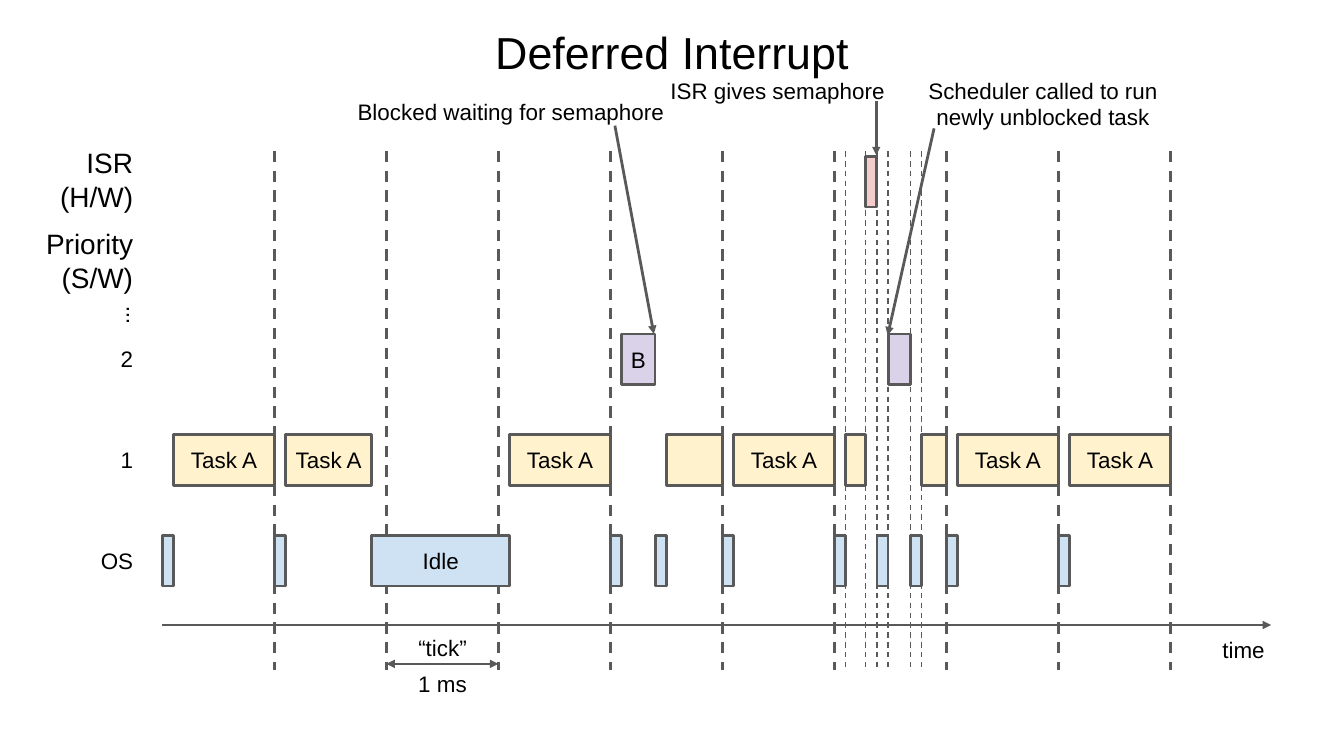
import dataclasses
import pptx
import pptx.dml.color
import pptx.enum.dml
import pptx.enum.shapes
import pptx.enum.text
import pptx.oxml.ns
import pptx.util
from lxml import etree

ALIGN = pptx.enum.text.PP_ALIGN
GREY, BLACK = "595959", "000000"
YELLOW, BLUE, PURPLE, PINK = "FFF2CC", "CFE2F3", "D9D2E9", "F4CCCC"

# Lengths are percentages of the slide's width and height
WIDTH, HEIGHT = pptx.util.Inches(20), pptx.util.Inches(11.25)
LEFT, TICK = 12.08, 100 / 12          # time zero, one tick
OS_TOP, PITCH = 70.84, 100 / 7.5      # lowest row, distance between rows
BLOCK_H = PITCH / 2
OS, LOW, HIGH, ISR = 0, 1, 2, 3.76    # rows, counted upwards
AXIS_Y, TICK_Y = 82.67, 87.82
GRID_TOP, GRID_BOTTOM = 20, 88.62


@dataclasses.dataclass
class Block:
    row: float
    start: float  # in ticks
    end: float
    fill: str
    text: str = ""


@dataclasses.dataclass
class Label:
    text: str
    x: float
    y: float
    w: float
    h: float
    size: int = 24
    align: ALIGN = ALIGN.CENTER
    rotation: int = 0


@dataclasses.dataclass
class Line:
    x1: float
    y1: float
    x2: float
    y2: float
    width: float = 3
    dashed: bool = False
    ends: tuple = ()


def px(share: float) -> int:
    return round(WIDTH * share / 100)


def py(share: float) -> int:
    return round(HEIGHT * share / 100)


def at_tick(t: float) -> float:
    return LEFT + t * TICK


def row_top(row: float) -> float:
    return OS_TOP - row * PITCH


def rgb(colour: str) -> pptx.dml.color.RGBColor:
    return pptx.dml.color.RGBColor.from_string(colour)


def write(sp, text: str, size: int = 24, align: ALIGN = ALIGN.CENTER) -> None:
    tf = sp.text_frame
    tf.text = text
    tf.word_wrap = True
    tf.auto_size = pptx.enum.text.MSO_AUTO_SIZE.NONE
    tf.vertical_anchor = pptx.enum.text.MSO_ANCHOR.MIDDLE
    tf.margin_left = tf.margin_right = pptx.util.Inches(0.1)
    tf.margin_top = tf.margin_bottom = pptx.util.Inches(0.1)
    for p in tf.paragraphs:
        p.alignment = align
        for r in p.runs:
            r.font.size = pptx.util.Pt(size)
            r.font.name = "Arial"
            r.font.color.rgb = rgb(BLACK)


def draw_block(s, block: Block) -> None:
    sp = s.shapes.add_shape(
        pptx.enum.shapes.MSO_SHAPE.RECTANGLE,
        px(at_tick(block.start)), py(row_top(block.row)),
        px((block.end - block.start) * TICK), py(BLOCK_H))
    sp.shadow.inherit = False
    sp.fill.solid()
    sp.fill.fore_color.rgb = rgb(block.fill)
    sp.line.color.rgb = rgb(GREY)
    sp.line.width = pptx.util.Pt(3)
    if block.text:
        write(sp, block.text)


def draw_label(s, label: Label) -> None:
    sp = s.shapes.add_textbox(px(label.x), py(label.y), px(label.w), py(label.h))
    sp.rotation = label.rotation
    write(sp, label.text, label.size, label.align)


def draw_line(s, line: Line) -> None:
    sp = s.shapes.add_connector(
        pptx.enum.shapes.MSO_CONNECTOR.STRAIGHT,
        px(line.x1), py(line.y1), px(line.x2), py(line.y2))
    sp.line.color.rgb = rgb(GREY)
    sp.line.width = pptx.util.Pt(line.width)
    if line.dashed:
        sp.line.dash_style = pptx.enum.dml.MSO_LINE.DASH
    for end in line.ends:
        etree.SubElement(sp.line._get_or_add_ln(), pptx.oxml.ns.qn(f"a:{end}"), type="triangle")
    etree.SubElement(sp._element.spPr, pptx.oxml.ns.qn("a:effectLst"))


def draw_time_mark(s, t: float, width: float) -> None:
    draw_line(s, Line(at_tick(t), GRID_TOP, at_tick(t), GRID_BOTTOM, width, dashed=True))


BLOCKS = [
    # Scheduler at the start of a tick and after each switch
    *(Block(OS, t, t + 0.1, BLUE) for t in (0, 1, 4, 4.4, 5, 6, 6.38, 6.68, 7, 8)),
    Block(OS, 1.87, 3.1, BLUE, "Idle"),
    # Task A, for a whole tick or cut short
    *(Block(LOW, t + 0.1, t + 1, YELLOW, "Task A") for t in (0, 3, 5, 7, 8)),
    Block(LOW, 1.1, 1.87, YELLOW, "Task A"),
    Block(LOW, 4.5, 5, YELLOW),
    Block(LOW, 6.1, 6.28, YELLOW),
    Block(LOW, 6.78, 7, YELLOW),
    # Task B and the interrupt
    Block(HIGH, 4.1, 4.4, PURPLE, "B"),
    Block(HIGH, 6.48, 6.68, PURPLE),
    Block(ISR, 6.28, 6.38, PINK),
]

LABELS = [
    # Row names
    *(Label(name, 5, row_top(row) - 0.8, 5.4, 8.18, align=ALIGN.RIGHT)
      for name, row in (("OS", OS), ("1", LOW), ("2", HIGH))),
    Label("...", 6.55, 37.6, 4.8, 8.18, rotation=270),
    Label("Priority (S/W)", 2.5, 29.6, 7.9, 9.6, 30, ALIGN.RIGHT),
    Label("ISR\n(H/W)", 2.5, 18.49, 7.9, 10.4, 30, ALIGN.RIGHT),
    # Time axis
    Label("time", 88.35, 83.38, 8.35, 5.16),
    Label("“tick”", 29.55, 83.38, 6.75, 4.44),
    Label("1 ms", 28.75, TICK_Y, 8.35, 5.16),
    # Events
    Label("Blocked waiting for semaphore", 25.9, 12.53, 24.2, 4.44),
    Label("ISR gives semaphore", 45.75, 9.78, 24.2, 4.44),
    Label("Scheduler called to run newly unblocked task", 66.85, 8.89, 21.5, 9.6),
]

ARROWS = [
    Line(LEFT, AXIS_Y, at_tick(9.9), AXIS_Y, ends=("tailEnd",)),
    Line(at_tick(2), TICK_Y, at_tick(3), TICK_Y, ends=("headEnd", "tailEnd")),
    Line(45.75, 16.62, 48.65, 44.18, ends=("tailEnd",)),
    Line(65.2, 13.42, 65.2, 20.53, ends=("tailEnd",)),
    Line(69.5, 16.98, 66.05, 44.36, ends=("tailEnd",)),
]


def main() -> None:
    prs = pptx.Presentation()
    prs.slide_width, prs.slide_height = WIDTH, HEIGHT
    s = prs.slides.add_slide(prs.slide_layouts[5])

    # Title
    title = s.shapes.title
    title.left, title.top, title.width, title.height = 0, 0, WIDTH, py(13.69)
    write(title, "Deferred Interrupt", 48)

    # Ticks lie behind the blocks, task switches in front
    for t in range(1, 10):
        draw_time_mark(s, t, 3)
    for block in BLOCKS:
        draw_block(s, block)
    for label in LABELS:
        draw_label(s, label)
    for arrow in ARROWS:
        draw_line(s, arrow)
    for t in (6.1, 6.28, 6.38, 6.48, 6.68, 6.78):
        draw_time_mark(s, t, 1.5)

    prs.save("out.pptx")


if __name__ == "__main__":
    main()
